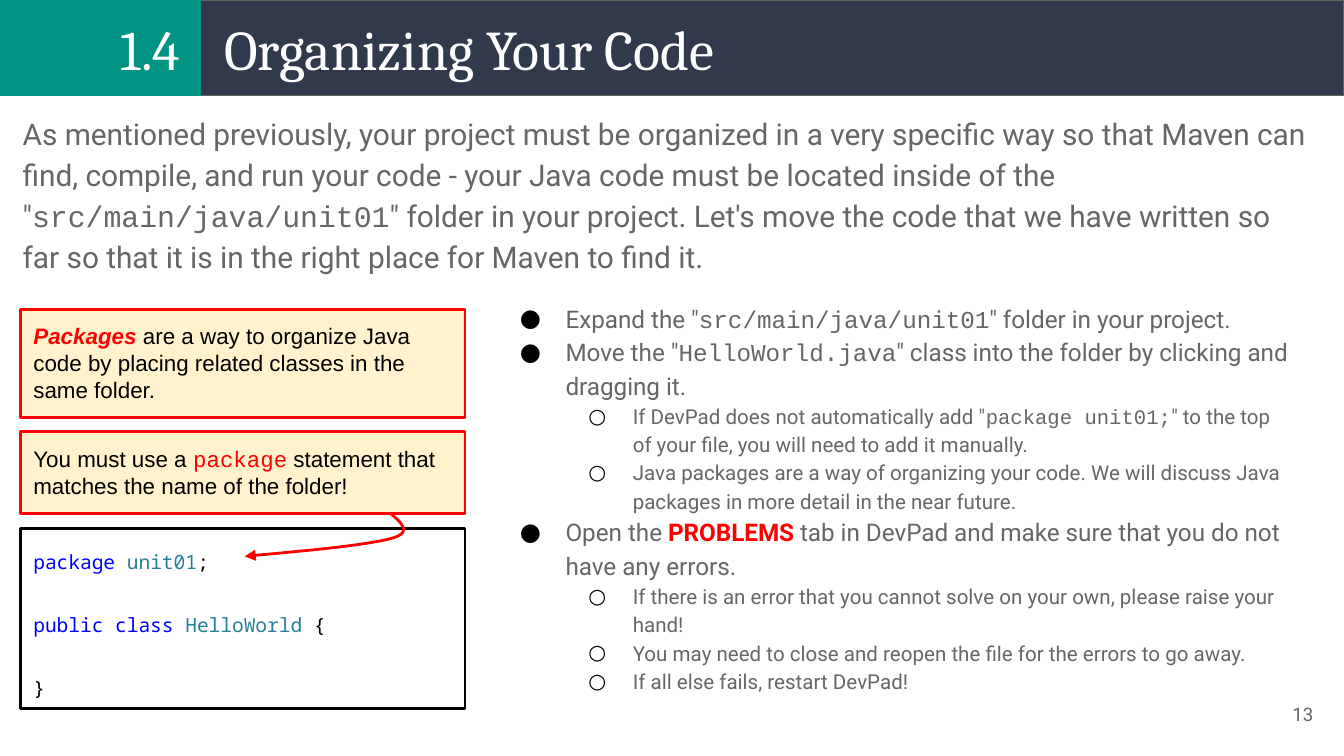
from dataclasses import dataclass

import pptx
import pptx.dml.color
import pptx.enum.shapes
import pptx.enum.text
import pptx.oxml
import pptx.oxml.ns
import pptx.util
from lxml import etree
from pptx.util import Inches

ALIGN = pptx.enum.text.PP_ALIGN
ANCHOR = pptx.enum.text.MSO_ANCHOR


@dataclass(frozen=True)
class Theme:
    navy: str = "31394D"
    teal: str = "009384"
    gray: str = "666666"
    white: str = "FFFFFF"
    black: str = "000000"
    red: str = "FF0000"
    cream: str = "FFF2CC"
    keyword: str = "0000FF"
    type_name: str = "267F99"
    heading_font: str = "Cambria"
    body_font: str = "Roboto"
    note_font: str = "Arial"
    path_font: str = "Courier New"
    code_font: str = "Noto Sans Mono"
    heading_size: float = 30
    intro_size: float = 16
    step_size: float = 13
    note_size: float = 12
    detail_size: float = 11
    code_size: float = 10.5
    number_size: float = 10


THEME = Theme()
PATH = {"name": THEME.path_font}
ALERT = {"color": THEME.red, "bold": True}
KEYWORD = {"color": THEME.keyword}
TYPE_NAME = {"color": THEME.type_name}

INTRO = [
    "As mentioned previously, your project must be organized in a very specific way "
    "so that Maven can find, compile, and run your code - your Java code must be "
    "located inside of the \"",
    ("src/main/java/unit01", PATH),
    "\" folder in your project. Let's move the code that we have written so far so "
    "that it is in the right place for Maven to find it.",
]

# Each step is its outline level and its pieces of text
STEPS = [
    (0, ["Expand the \"", ("src/main/java/unit01", PATH), "\" folder in your project."]),
    (0, ["Move the \"", ("HelloWorld.java", PATH),
         "\" class into the folder by clicking and dragging it."]),
    (1, ["If DevPad does not automatically add \"", ("package unit01;", PATH),
         "\" to the top of your file, you will need to add it manually."]),
    (1, ["Java packages are a way of organizing your code. We will discuss Java "
         "packages in more detail in the near future."]),
    (0, ["Open the ", ("PROBLEMS", ALERT),
         " tab in DevPad and make sure that you do not have any errors."]),
    (1, ["If there is an error that you cannot solve on your own, please raise your hand!"]),
    (1, ["You may need to close and reopen the file for the errors to go away."]),
    (1, ["If all else fails, restart DevPad!"]),
]

PACKAGES_NOTE = [
    ("Packages ", {"color": THEME.red, "bold": True, "italic": True}),
    "are a way to organize Java code by placing related classes in the same folder.",
]
STATEMENT_NOTE = [
    "You must use a ",
    ("package", {"name": THEME.path_font, "color": THEME.red}),
    " statement that matches the name of the folder!",
]
CODE = [
    [("package ", KEYWORD), ("unit01", TYPE_NAME), ";"],
    [("public class ", KEYWORD), ("HelloWorld", TYPE_NAME), " {"],
    ["}"],
]


def rgb(color):
    return pptx.dml.color.RGBColor.from_string(color)


def style_font(font, name=None, size=None, color=None, bold=None, italic=None):
    if name:
        font.name = name
    if size:
        font.size = pptx.util.Pt(size)
    if color:
        font.color.rgb = rgb(color)
    if bold is not None:
        font.bold = bold
    if italic is not None:
        font.italic = italic


def write(paragraph, pieces, name, size, color, align=ALIGN.LEFT):
    """Write plain strings and (text, style) pairs over one base font."""
    paragraph.alignment = align
    style_font(paragraph.font, name, size, color)
    for piece in pieces:
        text, style = (piece, {}) if isinstance(piece, str) else piece
        run = paragraph.add_run()
        run.text = text
        style_font(run.font, **style)


def prepare_frame(shape, anchor=ANCHOR.TOP):
    frame = shape.text_frame
    frame.word_wrap = True
    frame.auto_size = pptx.enum.text.MSO_AUTO_SIZE.NONE
    frame.vertical_anchor = anchor
    frame.margin_left = frame.margin_right = Inches(0.1)
    frame.margin_top = frame.margin_bottom = Inches(0.1)
    return frame


def add_text(slide, left, top, width, height, anchor=ANCHOR.TOP):
    box = slide.shapes.add_textbox(Inches(left), Inches(top), Inches(width), Inches(height))
    return prepare_frame(box, anchor)


def add_panel(slide, left, top, width, height, fill, line, weight):
    panel = slide.shapes.add_shape(
        pptx.enum.shapes.MSO_SHAPE.RECTANGLE,
        Inches(left), Inches(top), Inches(width), Inches(height))
    panel.shadow.inherit = False
    panel.fill.solid()
    panel.fill.fore_color.rgb = rgb(fill)
    panel.line.color.rgb = rgb(line)
    panel.line.width = pptx.util.Pt(weight)
    return prepare_frame(panel)


def add_bullet(paragraph, level):
    paragraph.level = level
    properties = paragraph._p.get_or_add_pPr()
    properties.set("marL", str(Inches(0.5 * (level + 1))))
    properties.set("indent", str(Inches((-0.34, -0.33)[level])))
    color = etree.SubElement(properties, pptx.oxml.ns.qn("a:buClr"))
    etree.SubElement(color, pptx.oxml.ns.qn("a:srgbClr"), val=THEME.black)
    etree.SubElement(properties, pptx.oxml.ns.qn("a:buFont"), typeface=THEME.body_font)
    etree.SubElement(properties, pptx.oxml.ns.qn("a:buChar"), char="●○"[level])


def curve_points(start, bends, steps=16):
    """Sample a chain of cubic curves at equal steps."""
    points = [start]
    for first, second, end in bends:
        for step in range(1, steps + 1):
            t = step / steps
            weights = ((1 - t) ** 3, 3 * t * (1 - t) ** 2, 3 * t * t * (1 - t), t ** 3)
            corners = (start, first, second, end)
            points.append(tuple(
                sum(w * corner[axis] for w, corner in zip(weights, corners))
                for axis in (0, 1)))
        start = end
    return [(Inches(x), Inches(y)) for x, y in points]


def add_curved_arrow(slide, start, bends):
    points = curve_points(start, bends)
    builder = slide.shapes.build_freeform(*points[0])
    builder.add_line_segments(points[1:], close=False)
    arrow = builder.convert_to_shape()
    arrow.shadow.inherit = False
    arrow.fill.background()
    arrow.line.color.rgb = rgb(THEME.red)
    arrow.line.width = pptx.util.Pt(1.5)
    etree.SubElement(arrow.line._get_or_add_ln(), pptx.oxml.ns.qn("a:tailEnd"), type="triangle")


def add_header(slide):
    add_panel(slide, 1.49, 0, 8.51, 0.71, THEME.navy, THEME.gray, 0.75)
    add_panel(slide, 0, 0, 1.49, 0.71, THEME.teal, THEME.teal, 0.75)
    heading = (THEME.heading_font, THEME.heading_size, THEME.white)

    title = slide.shapes.title
    title.left, title.top = Inches(1.57), Inches(0)
    title.width, title.height = Inches(8.36), Inches(0.71)
    write(prepare_frame(title, ANCHOR.MIDDLE).paragraphs[0], ["Organizing Your Code"], *heading)
    # Bring the title in front of the header bars
    title.element.getparent().append(title.element)

    section = add_text(slide, 0.07, 0, 1.37, 0.71, ANCHOR.MIDDLE)
    write(section.paragraphs[0], ["1.4"], *heading, align=ALIGN.RIGHT)


def add_steps(slide):
    frame = add_text(slide, 3.61, 2.13, 6.08, 3.14)
    for index, (level, pieces) in enumerate(STEPS):
        step = frame.add_paragraph() if index else frame.paragraphs[0]
        add_bullet(step, level)
        step.line_spacing = 1.15
        size = (THEME.step_size, THEME.detail_size)[level]
        write(step, pieces, THEME.body_font, size, THEME.gray)


def add_note(slide, top, height, pieces):
    note = add_panel(slide, 0.15, top, 3.31, height, THEME.cream, THEME.red, 1.5)
    # The box closes up right under its last line
    note.margin_bottom = 0
    note.auto_size = pptx.enum.text.MSO_AUTO_SIZE.SHAPE_TO_FIT_TEXT
    write(note.paragraphs[0], pieces, THEME.note_font, THEME.note_size, THEME.black)


def add_code(slide):
    frame = add_panel(slide, 0.15, 3.93, 3.31, 1.34, THEME.white, THEME.black, 1.5)
    for index, pieces in enumerate(CODE):
        line = frame.add_paragraph() if index else frame.paragraphs[0]
        line.line_spacing = 1.36
        if index:
            line.space_before = pptx.util.Pt(16.7)
        write(line, pieces, THEME.code_font, THEME.code_size, THEME.black)


def main():
    deck = pptx.Presentation()
    deck.slide_width = Inches(10)
    deck.slide_height = deck.slide_width * 9 // 16
    slide = deck.slides.add_slide(deck.slide_layouts[5])

    add_header(slide)

    # Introduction
    intro = add_text(slide, 0.07, 0.72, 9.79, 1.4).paragraphs[0]
    intro.line_spacing = 1.15
    write(intro, INTRO, THEME.body_font, THEME.intro_size, THEME.gray)

    # Slide number
    number = add_text(slide, 9.27, 5.1, 0.6, 0.43, ANCHOR.MIDDLE)
    write(number.paragraphs[0], ["13"], THEME.body_font, THEME.number_size, THEME.gray,
          ALIGN.RIGHT)

    add_steps(slide)

    # Notes, code and the arrow between them
    add_note(slide, 2.3, 0.81, PACKAGES_NOTE)
    add_code(slide)
    add_curved_arrow(slide, (2.74, 3.7), [
        ((2.78, 3.75), (3.12, 3.92), (2.96, 3.99)),
        ((2.81, 4.06), (2.01, 4.12), (1.82, 4.14)),
    ])
    add_note(slide, 3.21, 0.61, STATEMENT_NOTE)

    deck.save("out.pptx")


if __name__ == "__main__":
    main()
